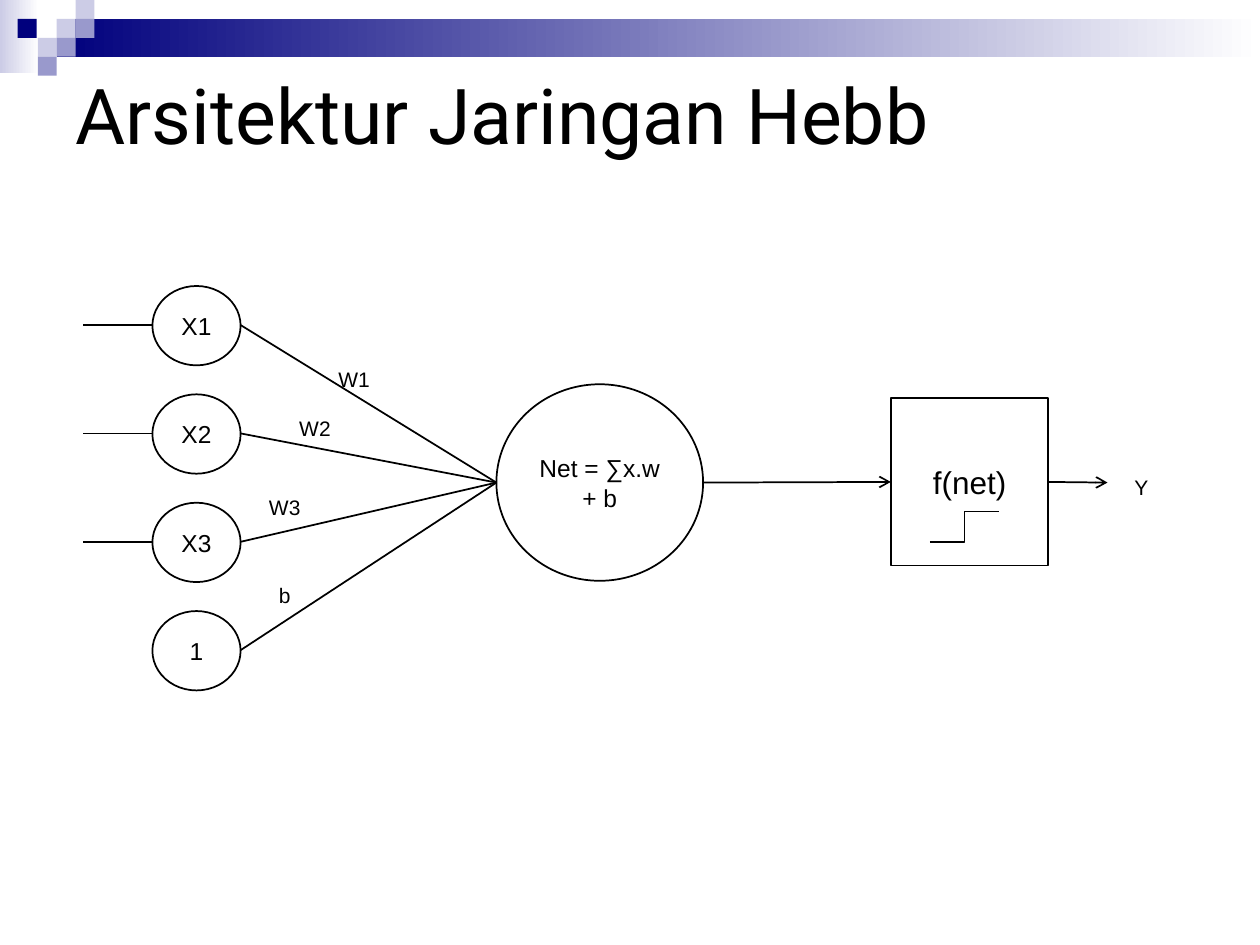
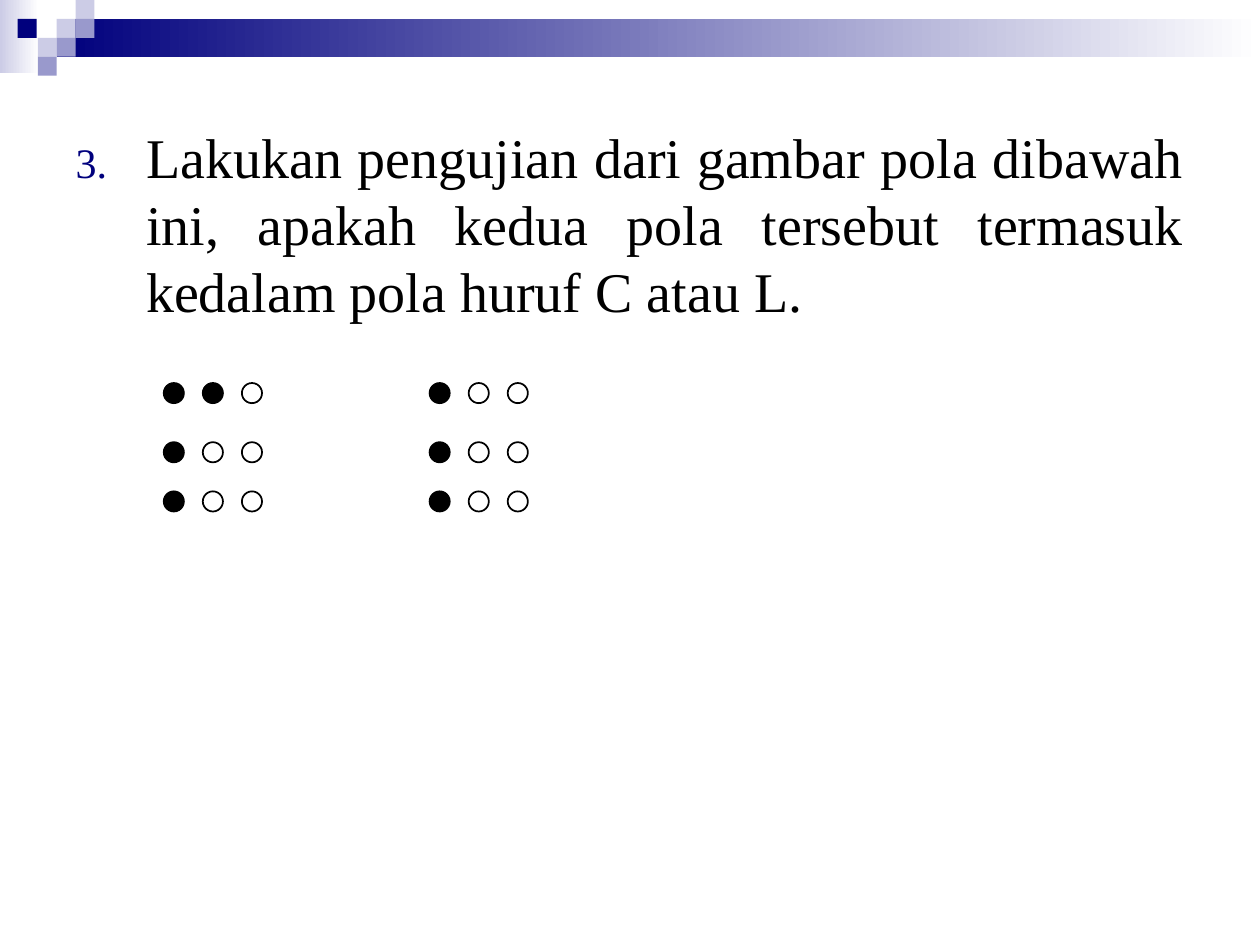
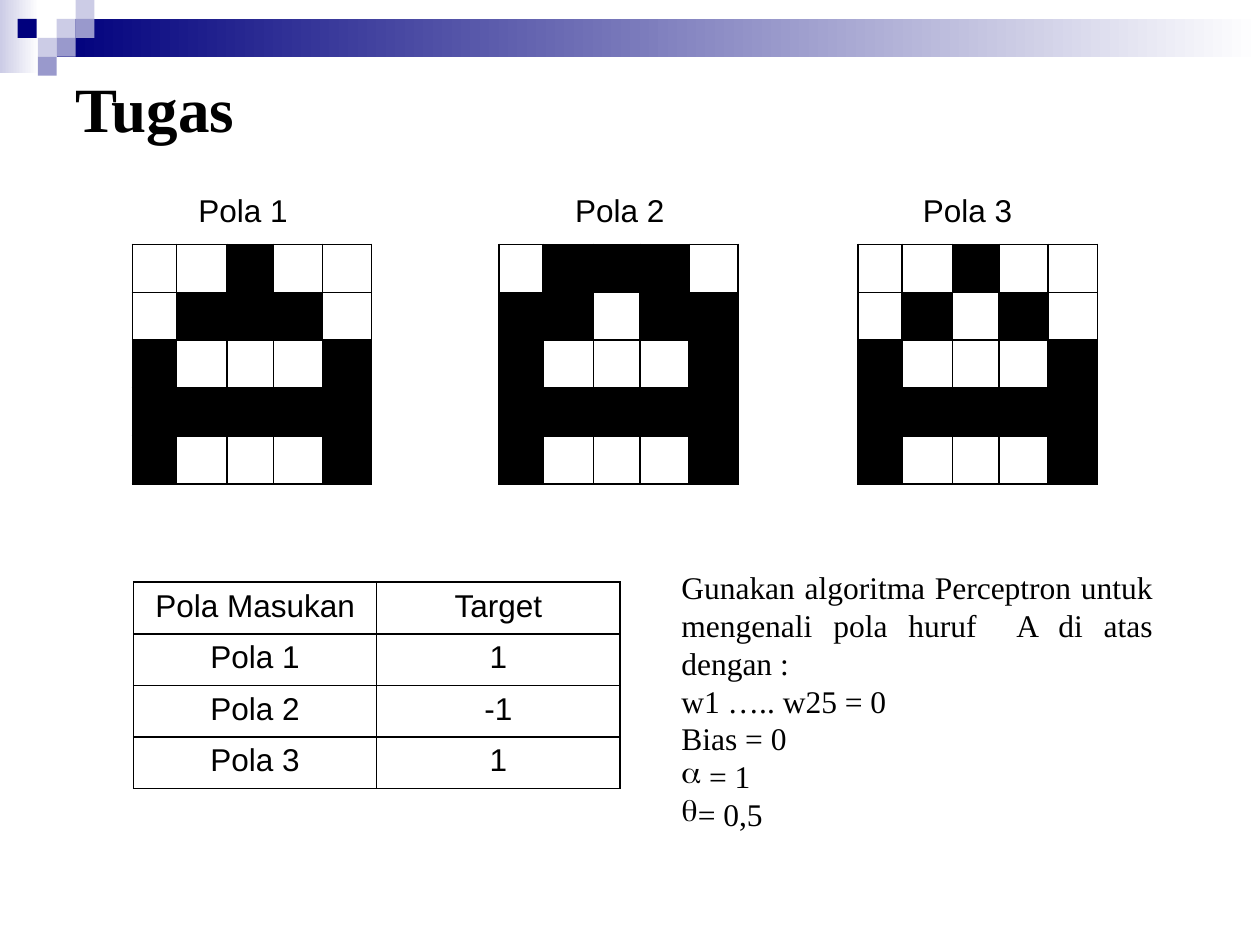
"""Build three slides on the Hebb network, pattern testing and a Perceptron task."""
from lxml import etree
from pptx import Presentation
from pptx.dml.color import RGBColor
from pptx.enum import shapes, text
from pptx.oxml import ns
from pptx.util import Inches, Pt

BLACK = RGBColor(0x00, 0x00, 0x00)
WHITE = RGBColor(0xFF, 0xFF, 0xFF)
NAVY = RGBColor(0x00, 0x00, 0x7D)
LILAC = RGBColor(0xCC, 0xCC, 0xE6)
VIOLET = RGBColor(0x99, 0x99, 0xCC)
SANS, SERIF, DISPLAY = "Arial", "Times New Roman", "Roboto"
RECT = shapes.MSO_SHAPE.RECTANGLE
CIRCLE = shapes.MSO_SHAPE.FLOWCHART_CONNECTOR
CENTER, JUSTIFY = text.PP_ALIGN.CENTER, text.PP_ALIGN.JUSTIFY
MIDDLE = text.MSO_ANCHOR.MIDDLE


def add_xml(parent, tag, **attrs):
    """Append a DrawingML element and return it."""
    child = etree.SubElement(parent, ns.qn(tag))
    for name, value in attrs.items():
        child.set(name, str(value))
    return child


def style(p, size, font=SANS, align=None, bold=False):
    """Format a paragraph in black."""
    p.font.size, p.font.name, p.font.bold = Pt(size), font, bold
    p.font.color.rgb = BLACK
    p.alignment = align


def add_shape(s, kind, box, fill=None, outline=False):
    """Add a preset shape with an optional fill and black outline."""
    sp = s.shapes.add_shape(kind, *map(Inches, box))
    sp.shadow.inherit = False
    if fill is None:
        sp.fill.background()
    else:
        sp.fill.solid()
        sp.fill.fore_color.rgb = fill
    if outline:
        sp.line.color.rgb = BLACK
        sp.line.width = Pt(1)
    else:
        sp.line.fill.background()
    return sp


def add_node(s, kind, box, label, size=14):
    """Add an outlined network node with a centred label."""
    sp = add_shape(s, kind, box, WHITE, outline=True)
    tf = sp.text_frame
    tf.word_wrap = True
    tf.vertical_anchor = MIDDLE
    tf.margin_left = tf.margin_right = Inches(0.05)
    tf.text = label
    style(tf.paragraphs[0], size, align=CENTER)
    return sp


def add_line(s, start, end, arrow=False, kind=shapes.MSO_CONNECTOR.STRAIGHT):
    """Add a black connector between two points."""
    line = s.shapes.add_connector(kind, *map(Inches, (*start, *end)))
    line.line.color.rgb = BLACK
    line.line.width = Pt(1)
    if arrow:
        add_xml(line.line._get_or_add_ln(), "a:tailEnd", type="arrow")
    add_xml(line.element.spPr, "a:effectLst")
    return line


def add_text(s, box, lines, size, font=SANS, align=CENTER, anchor=MIDDLE):
    """Add a wrapping text box with one paragraph per line."""
    tf = s.shapes.add_textbox(*map(Inches, box)).text_frame
    tf.word_wrap = True
    tf.vertical_anchor = anchor
    tf.text = "\n".join(lines)
    for p in tf.paragraphs:
        style(p, size, font, align)
    return tf


def set_title(s, label, box, size, font, bold=False):
    """Place and format the title placeholder."""
    title = s.shapes.title
    title.left, title.top, title.width, title.height = map(Inches, box)
    tf = title.text_frame
    tf.text = label
    tf.auto_size = text.MSO_AUTO_SIZE.NONE
    tf.vertical_anchor = MIDDLE
    style(tf.paragraphs[0], size, font, text.PP_ALIGN.LEFT, bold)


def add_grid(s, left, top, widths, height, rows):
    """Add a plain bordered table and return it."""
    frame = s.shapes.add_table(len(rows), len(widths), Inches(left), Inches(top),
                               Inches(sum(widths)), Inches(height * len(rows)))
    table = frame.table
    table.first_row = table.horz_banding = False
    for column, width in zip(table.columns, widths):
        column.width = Inches(width)
    for row in table.rows:
        row.height = Inches(height)
    for cell in table.iter_cells():
        tcPr = cell._tc.get_or_add_tcPr()
        for side in "LRTB":
            ln = add_xml(tcPr, f"a:ln{side}", w=Pt(1))
            add_xml(add_xml(ln, "a:solidFill"), "a:srgbClr", val=BLACK)
        cell.fill.background()
    return table


def add_pattern(s, left, rows):
    """Add a letter pattern in which # marks a black cell."""
    table = add_grid(s, left, 1.94, (0.35, 0.4, 0.37, 0.39, 0.39), 0.38, rows)
    for cell, mark in zip(table.iter_cells(), "".join(rows)):
        style(cell.text_frame.paragraphs[0], 12)
        if mark == "#":
            cell.fill.solid()
            cell.fill.fore_color.rgb = BLACK


def add_targets(s, rows):
    """Add the table of input patterns and targets."""
    table = add_grid(s, 1.06, 4.62, (1.93, 1.93), 0.41, rows)
    for cell, value in zip(table.iter_cells(), sum(rows, ())):
        cell.text = value
        style(cell.text_frame.paragraphs[0], 18, align=CENTER)


def add_dots(s, left, rows):
    """Add a dot pattern in which # marks a black dot."""
    for top, row in zip((3.04, 3.51, 3.9), rows):
        for i, mark in enumerate(row):
            add_shape(s, CIRCLE, (left + 0.31 * i, top, 0.16, 0.16),
                      BLACK if mark == "#" else None, outline=True)


def decorate_master(prs, s):
    """Draw the header band and move it to the slide master."""
    band = []
    for box, colour in (((0, 0, 0.31, 0.58), LILAC), ((0.45, 0.15, 9.55, 0.3), NAVY)):
        sp = add_shape(s, RECT, box, colour)
        sp.fill.gradient()
        sp.fill.gradient_angle = 0
        for stop, rgb in zip(sp.fill.gradient_stops, (colour, WHITE)):
            stop.color.rgb = rgb
        band.append(sp)
    for left, top, colour in ((0.45, 0.15, LILAC), (0.6, 0, LILAC), (0.6, 0.15, VIOLET),
                              (0.3, 0.3, LILAC), (0.14, 0.15, NAVY),
                              (0.45, 0.3, VIOLET), (0.3, 0.45, VIOLET)):
        band.append(add_shape(s, RECT, (left, top, 0.15, 0.15), colour))
    for i, sp in enumerate(band, 100):
        sp.element.nvSpPr.cNvPr.set("id", str(i))
        prs.slide_master.shapes.element.append(sp.element)


def build_network(s):
    """Fill the slide with the Hebb network diagram."""
    set_title(s, "Arsitektur Jaringan Hebb", (0.5, 0.5, 9, 0.81), 44, DISPLAY)
    for i, label in enumerate(("X1", "X2", "X3", "1")):
        top = 2.27 + 0.86 * i
        middle = top + 0.31
        add_node(s, CIRCLE, (1.21, top, 0.7, 0.63), label)
        add_line(s, (1.91, middle), (3.94, 3.83))
        if label != "1":
            add_line(s, (1.21, middle), (0.66, middle))
    add_node(s, CIRCLE, (3.94, 3.05, 1.64, 1.56), "Net = ∑x.w + b")
    activation = add_node(s, RECT, (7.07, 3.16, 1.25, 1.33), "f(net)", 18)
    add_line(s, (5.58, 3.83), (7.07, 3.82), arrow=True).end_connect(activation, 1)
    add_line(s, (8.32, 3.82), (8.79, 3.83), arrow=True).begin_connect(activation, 3)
    add_line(s, (7.38, 4.3), (7.93, 4.06), kind=shapes.MSO_CONNECTOR.ELBOW)
    for label, left, top in (("W1", 2.38, 2.81), ("W2", 2.07, 3.2), ("W3", 1.83, 3.83),
                             ("b", 1.83, 4.53), ("Y", 8.63, 3.67)):
        add_text(s, (left, top, 0.86, 0.39), [label], 12)


def build_test(s):
    """Fill the slide with the testing question and its dot patterns."""
    title, body = s.placeholders
    title.element.getparent().remove(title.element)
    body.left, body.top, body.width, body.height = map(Inches, (0.5, 0.92, 9, 5.5))
    body.text_frame.text = ("Lakukan pengujian dari gambar pola dibawah ini, apakah kedua "
                            "pola tersebut termasuk kedalam pola huruf C atau L.")
    p = body.text_frame.paragraphs[0]
    style(p, 32, SERIF, JUSTIFY)
    pPr = p._p.get_or_add_pPr()
    pPr.set("marL", str(Inches(0.56)))
    pPr.set("indent", str(Inches(-0.56)))
    bullet = (add_xml(etree.Element("bullet"), "a:buClr"))
    add_xml(bullet, "a:srgbClr", val=NAVY)
    pPr.insert_element_before(bullet, "a:defRPr")
    for tag, attrs in (("a:buSzPct", {"val": 75000}), ("a:buFont", {"typeface": SERIF}),
                       ("a:buAutoNum", {"type": "arabicPeriod", "startAt": 3})):
        pPr.insert_element_before(add_xml(etree.Element("bullet"), tag, **attrs), "a:defRPr")
    add_dots(s, 1.3, ("##.", "#..", "#.."))
    add_dots(s, 3.41, ("#..", "#..", "#.."))


def build_task(s):
    """Fill the slide with the Perceptron task."""
    set_title(s, "Tugas", (0.5, 0.47, 9, 0.76), 36, SERIF, bold=True)
    foot = ("#...#", "#####", "#...#")
    patterns = (("Pola 1", 1.38, 1.05, ("..#..", ".###.")),
                ("Pola 2", 4.37, 3.96, (".###.", "##.##")),
                ("Pola 3", 7.13, 6.81, ("..#..", ".#.#.")))
    for label, label_left, left, head in patterns:
        add_text(s, (label_left, 1.47, 1.1, 0.39), [label], 18)
        add_pattern(s, left, head + foot)
    add_targets(s, (("Pola Masukan", "Target"), ("Pola 1", "1"),
                    ("Pola 2", "-1"), ("Pola 3", "1")))
    tf = add_text(s, (5.31, 4.46, 3.94, 2.52),
                  ["Gunakan algoritma Perceptron untuk mengenali pola huruf  A di atas dengan :",
                   "w1 ….. w25 = 0", "Bias = 0", " = 1", "= 0,5"],
                  18, SERIF, JUSTIFY, text.MSO_ANCHOR.TOP)
    for p, symbol in zip(tf.paragraphs[-2:], "αθ"):
        bullet = add_xml(etree.Element("bullet"), "a:buChar", char=symbol)
        p._p.get_or_add_pPr().insert_element_before(bullet, "a:defRPr")


def main():
    """Build and save the presentation."""
    prs = Presentation()
    prs.slide_width, prs.slide_height = Inches(10), Inches(7.5)
    title_only, title_and_body = prs.slide_layouts[5], prs.slide_layouts[1]
    network = prs.slides.add_slide(title_only)
    decorate_master(prs, network)
    build_network(network)
    build_test(prs.slides.add_slide(title_and_body))
    build_task(prs.slides.add_slide(title_only))
    prs.save("out.pptx")


if __name__ == "__main__":
    main()
